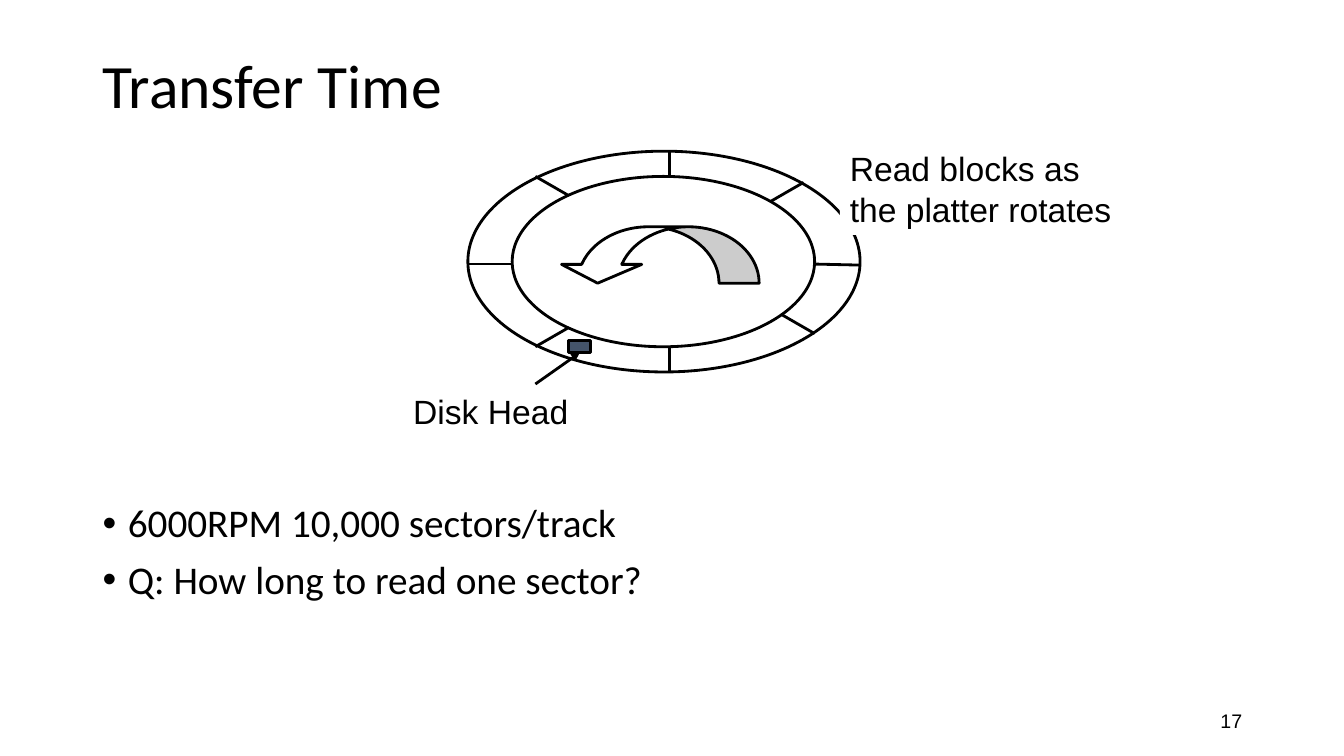
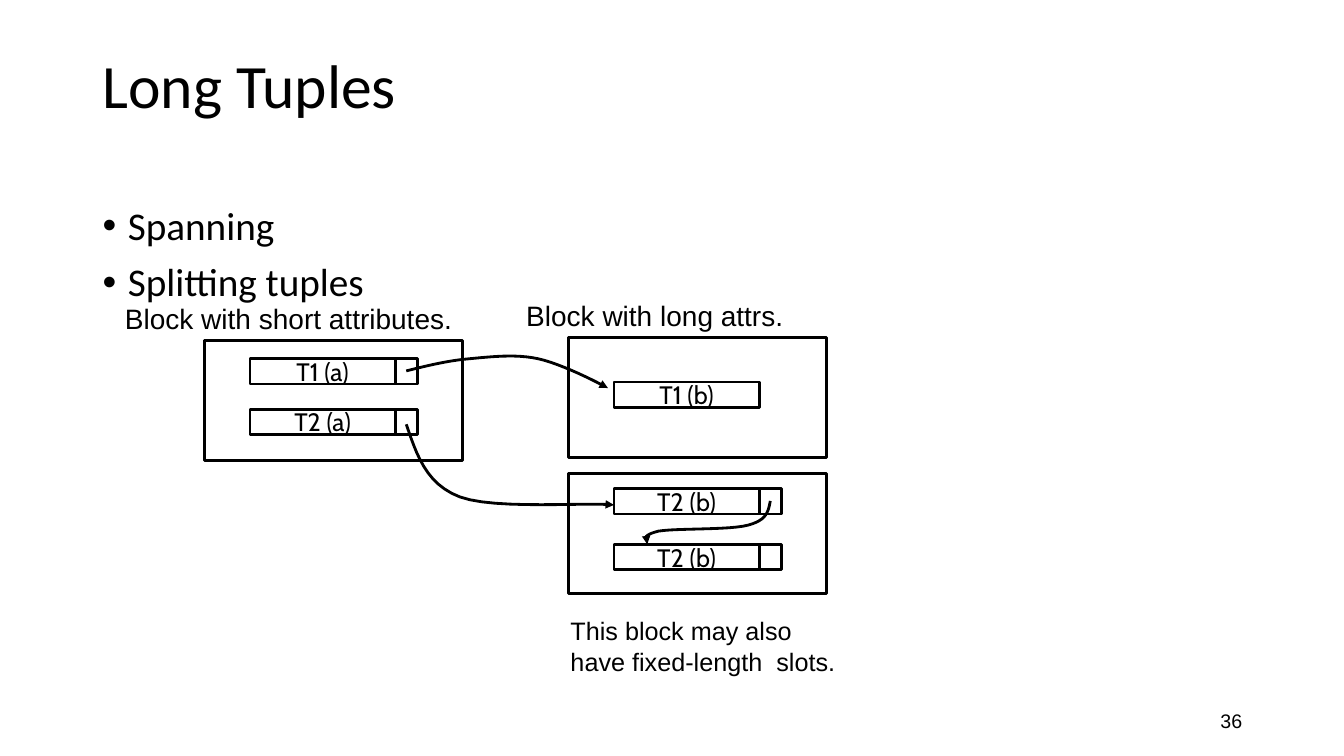
"""Build two slides on disk transfer time and long tuples."""
import pptx
import pptx.util
import pptx.dml.color
import pptx.enum.shapes
import pptx.enum.text
import pptx.oxml
import pptx.oxml.ns

Inch = pptx.util.Inches
Pt = pptx.util.Pt
RGB = pptx.dml.color.RGBColor
KIND = pptx.enum.shapes.MSO_SHAPE
ALIGN = pptx.enum.text.PP_ALIGN
MID = pptx.enum.text.MSO_ANCHOR.MIDDLE
STRAIGHT = pptx.enum.shapes.MSO_CONNECTOR.STRAIGHT

BLACK = RGB(0, 0, 0)
WHITE = RGB(255, 255, 255)
SLATE = RGB(0x44, 0x54, 0x6A)
WIDE, HIGH = 13.33, 7.5

TITLE = dict(font=dict(name="Calibri", size=Pt(44)), para=dict(line_spacing=0.9),
             frame=dict(vertical_anchor=MID, word_wrap=True))
BODY = dict(font=dict(name="Calibri", size=Pt(28)),
            para=dict(line_spacing=0.9, space_before=Pt(10)),
            frame=dict(word_wrap=True), bullet=True)
PAGE = dict(font=dict(name="Arial", size=Pt(14)), para=dict(alignment=ALIGN.RIGHT),
            frame=dict(vertical_anchor=MID, word_wrap=True))
SLOT = dict(font=dict(name="Cabin", size=Pt(18)), para=dict(alignment=ALIGN.CENTER),
            frame=dict(vertical_anchor=MID, word_wrap=False))


def label(size, wrap):
    return dict(font=dict(name="Arial", size=Pt(size)), para={}, frame=dict(word_wrap=wrap))


DISK = {
    "title": "Transfer Time", "page": "17", "top": 4.95,
    "points": ["6000RPM 10,000 sectors/track", "Q: How long to read one sector?"],
    "labels": [((4, 3.83, 1.74, 0.5), ["Disk Head"], label(24, False), None),
               ((8.33, 1.42, 2.82, 0.91), ["Read blocks as", "the platter rotates"],
                label(24, False), WHITE)],
}
RINGS = [(4.64, 1.5, 3.89, 2.19), (5.08, 1.75, 3, 1.69)]
SPOKES = [(6.64, 1.5, 6.64, 1.75), (6.64, 3.44, 6.64, 3.69),
          (8.08, 2.62, 8.53, 2.63), (4.64, 2.62, 5.08, 2.62),
          (7.64, 2, 7.97, 1.81), (5.31, 3.44, 5.64, 3.25),
          (7.75, 3.12, 8.08, 3.31), (5.31, 1.75, 5.64, 1.94)]
SPIN = (5.53, 2.25, 2, 0.56)
HEAD = (5.64, 3.38, 0.22, 0.12)

TUPLES = {
    "title": "Long Tuples", "page": "36", "top": 2.0,
    "points": ["Spanning", "Splitting tuples"],
    "labels": [((1.14, 2.94, 4.78, 0.31), ["Block with short attributes."], label(20, True), None),
               ((5.12, 2.91, 3.19, 0.31), ["Block with long attrs."], label(20, True), None),
               ((5.56, 6.06, 2.91, 1), ["This block may also have fixed-length  slots."],
                label(18, True), None)],
}
BLOCK = (2.56, 1.19)
INSET, SLOT_W, LINK_W, SLOT_H = 0.45, 1.44, 0.22, 0.25
BLOCKS = [
    (2.03, 3.38, [("T1 (a)", 0.18, True), ("T2 (a)", 0.68, True)]),
    (5.64, 4.7, [("T2 (b)", 0.15, True), ("T2 (b)", 0.7, True)]),
    (5.64, 3.35, [("T1 (b)", 0.44, False)]),
]
CURVES = [
    [(4.03, 3.68), (4.23, 3.63), (4.43, 3.58), (4.65, 3.56), (4.87, 3.54),
     (5.11, 3.51), (5.34, 3.56), (5.57, 3.61), (5.94, 3.8), (6.03, 3.85)],
    [(4.03, 4.21), (4.13, 4.5), (4.22, 4.8), (4.56, 4.93), (4.91, 5.06),
     (5.85, 4.98), (6.09, 5.01)],
    [(7.64, 4.97), (7.62, 5.07), (7.61, 5.16), (7.42, 5.21), (7.24, 5.26),
     (6.7, 5.24), (6.53, 5.27), (6.37, 5.31), (6.39, 5.35), (6.42, 5.4)],
]


def apply(part, form):
    for key, val in form.items():
        setattr(part, key, val)


def add(parent, tag, **atts):
    node = pptx.oxml.ns.qn(tag)
    kid = parent.makeelement(node, atts)
    parent.append(kid)
    return kid


def write(shape, lines, form):
    frame = shape.text_frame
    apply(frame, form["frame"])
    for num, line in enumerate(lines):
        para = frame.add_paragraph() if num else frame.paragraphs[0]
        apply(para, form["para"])
        run = para.add_run()
        run.text = line
        apply(run.font, form["font"])
        run.font.color.rgb = BLACK
        if form.get("bullet"):
            props = para._p.get_or_add_pPr()
            props.set("marL", str(Inch(0.25)))
            props.set("indent", str(-Inch(0.25)))
            add(props, "a:buFont", typeface="Arial")
            add(props, "a:buChar", char="•")


def text(slide, box, lines, form, fill=None):
    shape = slide.shapes.add_textbox(*map(Inch, box))
    if fill is not None:
        shape.fill.solid()
        shape.fill.fore_color.rgb = fill
    write(shape, lines, form)


def ink(shape, arrow=False):
    shape.line.color.rgb = BLACK
    shape.line.width = Pt(2)
    if arrow:
        add(shape.line._get_or_add_ln(), "a:tailEnd", type="triangle")


def draw(slide, kind, box, fill=WHITE):
    shape = slide.shapes.add_shape(kind, *map(Inch, box))
    shape.shadow.inherit = False
    shape.fill.solid()
    shape.fill.fore_color.rgb = fill
    ink(shape)
    return shape


def link(slide, ends, arrow=False):
    line = slide.shapes.add_connector(STRAIGHT, *map(Inch, ends))
    ink(line, arrow)
    add(line._element.spPr, "a:effectLst")
    return line


def bend(slide, knots, steps=12):
    dots = [knots[0]]
    for at in range(0, len(knots) - 1, 3):
        four = knots[at:at + 4]
        for step in range(1, steps + 1):
            t = step / steps
            mix = ((1 - t) ** 3, 3 * t * (1 - t) ** 2, 3 * t * t * (1 - t), t ** 3)
            dots.append(tuple(sum(m * k[i] for m, k in zip(mix, four)) for i in (0, 1)))
    path = [(Inch(x), Inch(y)) for x, y in dots]
    pen = slide.shapes.build_freeform(*path[0])
    pen.add_line_segments(path[1:], close=False)
    shape = pen.convert_to_shape()
    shape.shadow.inherit = False
    shape.fill.background()
    ink(shape, True)


def platter(slide):
    for ring in RINGS:
        draw(slide, KIND.OVAL, ring)
    for spoke in SPOKES:
        link(slide, spoke)
    spin = draw(slide, KIND.CURVED_DOWN_ARROW, SPIN)
    for num, val in enumerate((0.711, 1.422, 0.333)):
        spin.adjustments[num] = val
    spin._element.spPr.xfrm.set("flipH", "1")
    lead = link(slide, (5.31, 3.81, 5.75, 3.5), True)
    lead.end_connect(draw(slide, KIND.RECTANGLE, HEAD, SLATE), 2)


def blocks(slide):
    for left, top, slots in BLOCKS:
        draw(slide, KIND.RECTANGLE, (left, top, *BLOCK))
        for name, down, tail in slots:
            x, y = left + INSET, top + down
            write(draw(slide, KIND.RECTANGLE, (x, y, SLOT_W, SLOT_H)), [name], SLOT)
            if tail:
                draw(slide, KIND.RECTANGLE, (x + SLOT_W, y, LINK_W, SLOT_H))
    for knots in CURVES:
        bend(slide, knots)


def build(deck, data, figure):
    slide = deck.slides.add_slide(deck.slide_layouts[6])
    text(slide, (0.92, 0.33, 11.5, 1.09), [data["title"]], TITLE)
    text(slide, (0.92, data["top"], 11.5, 1.2), data["points"], BODY)
    text(slide, (9.42, 6.95, 3, 0.4), [data["page"]], PAGE)
    figure(slide)
    for item in data["labels"]:
        text(slide, *item)


def main():
    deck = pptx.Presentation()
    deck.slide_width, deck.slide_height = Inch(WIDE), Inch(HIGH)
    build(deck, DISK, platter)
    build(deck, TUPLES, blocks)
    deck.save("out.pptx")


if __name__ == "__main__":
    main()
